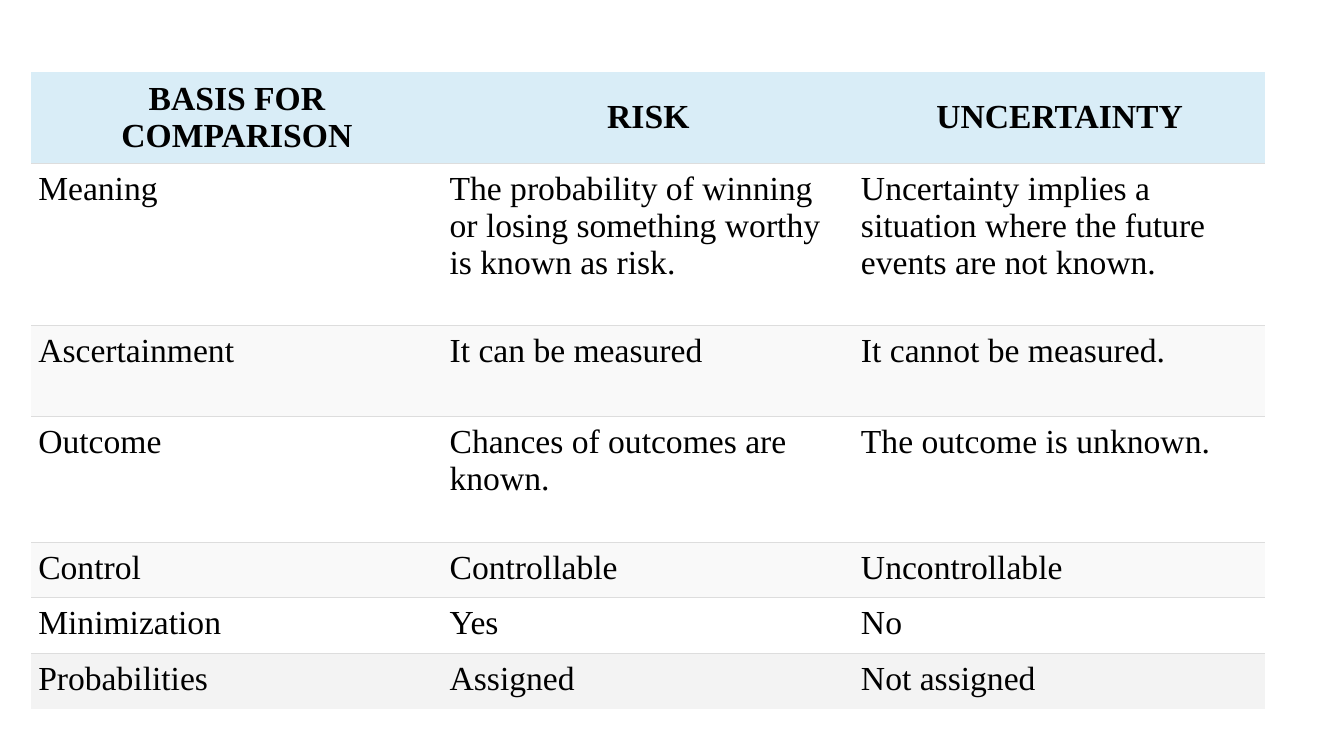
from dataclasses import dataclass

from lxml.etree import SubElement
from pptx import Presentation
from pptx.dml.color import RGBColor
from pptx.enum.text import MSO_ANCHOR, PP_ALIGN
from pptx.oxml.ns import qn
from pptx.util import Inches, Pt


@dataclass(frozen=True)
class Theme:
    font: str = "Times New Roman"
    size: int = 24
    ink: str = "000000"
    head: str = "D9EDF7"
    odd: str = "FFFFFF"
    even: str = "F9F9F9"
    last: str = "F3F3F3"
    rule: str = "DDDDDD"
    weight: float = 0.75
    inset: float = 0.07
    plain: str = "{2D5ABB26-0587-4C30-8999-92F81FD0307C}"


ROWS = [
    ("BASIS FOR COMPARISON", "RISK", "UNCERTAINTY"),
    ("Meaning",
     "The probability of winning or losing something worthy is known as risk.",
     "Uncertainty implies a situation where the future events are not known."),
    ("Ascertainment", "It can be measured", "It cannot be measured."),
    ("Outcome", "Chances of outcomes are known.", "The outcome is unknown."),
    ("Control", "Controllable", "Uncontrollable"),
    ("Minimization", "Yes", "No"),
    ("Probabilities", "Assigned", "Not assigned"),
]
HEIGHTS = [0.91, 1.61, 0.9, 1.25, 0.55, 0.55, 0.55]


class Deck:
    def __init__(self, theme):
        self.theme = theme
        self.file = Presentation()
        self.file.slide_width = Inches(13.33)
        self.file.slide_height = Inches(7.5)
        self.slide = self.file.slides.add_slide(self.file.slide_layouts[6])

    def table(self, left, top, width, heights, rows):
        frame = self.slide.shapes.add_table(
            len(rows), len(rows[0]), Inches(left), Inches(top),
            Inches(width * len(rows[0])), Inches(sum(heights)))
        grid = frame.table
        grid.horz_banding = False
        grid._tbl.tblPr.find(qn("a:tableStyleId")).text = self.theme.plain
        for col in grid.columns:
            col.width = Inches(width)
        end = len(rows) - 1
        for i, (height, texts) in enumerate(zip(heights, rows)):
            grid.rows[i].height = Inches(height)
            # The outer edges of the table carry no rule.
            sides = [tag for tag, show in (("lnT", i > 0), ("lnB", i < end)) if show]
            for j, text in enumerate(texts):
                cell = grid.cell(i, j)
                self.fill(cell, i, end)
                self.label(cell, text, head=i == 0)
                self.rules(cell, sides)

    def fill(self, cell, row, end):
        theme = self.theme
        color = {0: theme.head, end: theme.last}.get(
            row, theme.odd if row % 2 else theme.even)
        cell.fill.solid()
        cell.fill.fore_color.rgb = RGBColor.from_string(color)

    def label(self, cell, text, head):
        gap = Inches(self.theme.inset)
        cell.margin_left = cell.margin_right = gap
        cell.margin_top = cell.margin_bottom = gap
        cell.vertical_anchor = MSO_ANCHOR.MIDDLE if head else MSO_ANCHOR.TOP
        cell.text = text
        para = cell.text_frame.paragraphs[0]
        para.alignment = PP_ALIGN.CENTER if head else PP_ALIGN.LEFT
        para.font.name = self.theme.font
        para.font.size = Pt(self.theme.size)
        para.font.bold = head
        para.font.color.rgb = RGBColor.from_string(self.theme.ink)

    def rules(self, cell, sides):
        """Draw cell borders, which must precede the fill in the XML."""
        props = cell._tc.get_or_add_tcPr()
        for spot, side in enumerate(sides):
            line = SubElement(props, qn(f"a:{side}"), w=str(Pt(self.theme.weight)))
            paint = SubElement(line, qn("a:solidFill"))
            SubElement(paint, qn("a:srgbClr"), val=self.theme.rule)
            props.insert(spot, line)


def main():
    deck = Deck(Theme())
    deck.table(0.31, 0.71, 4.08, HEIGHTS, ROWS)
    deck.file.save("out.pptx")


if __name__ == "__main__":
    main()
